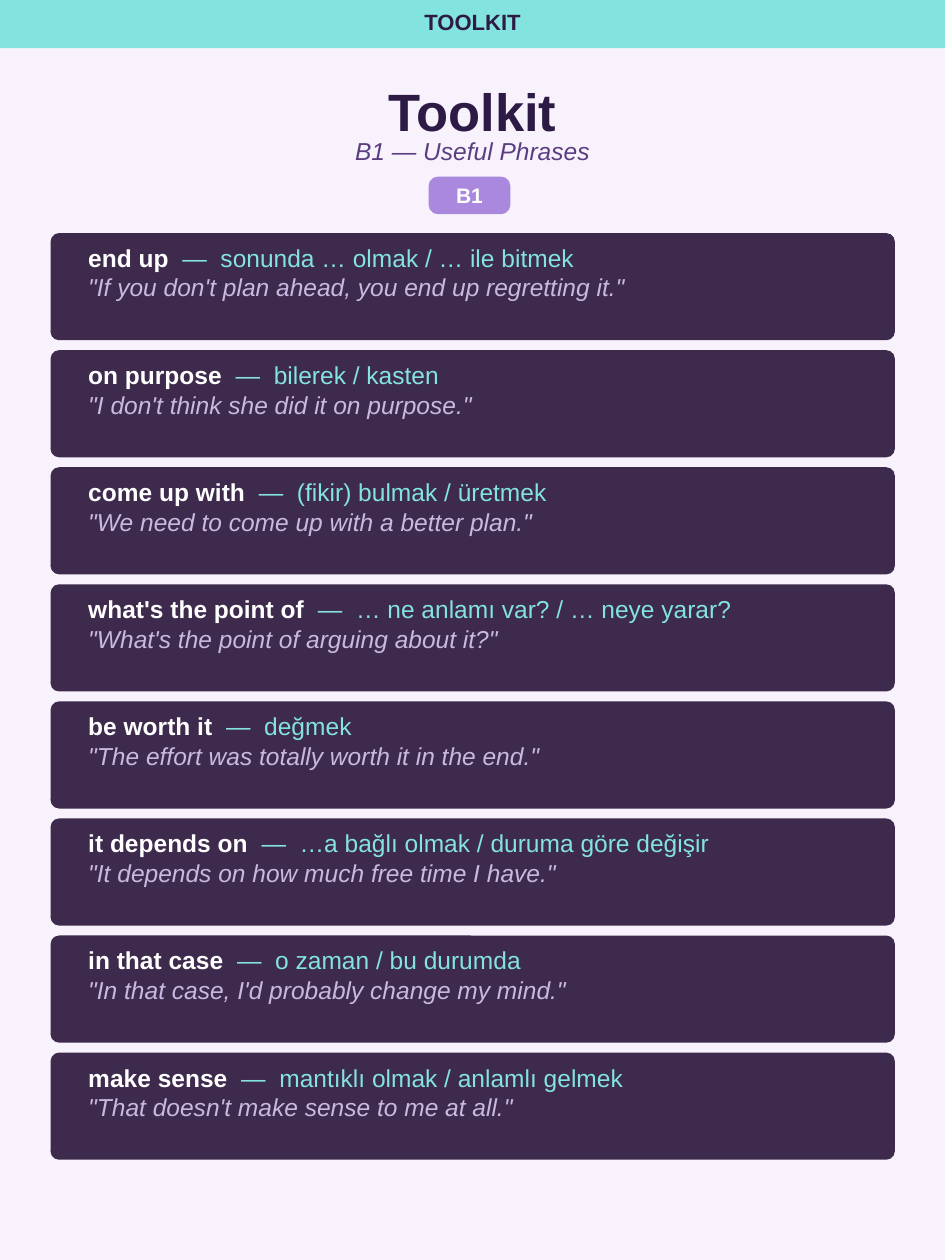
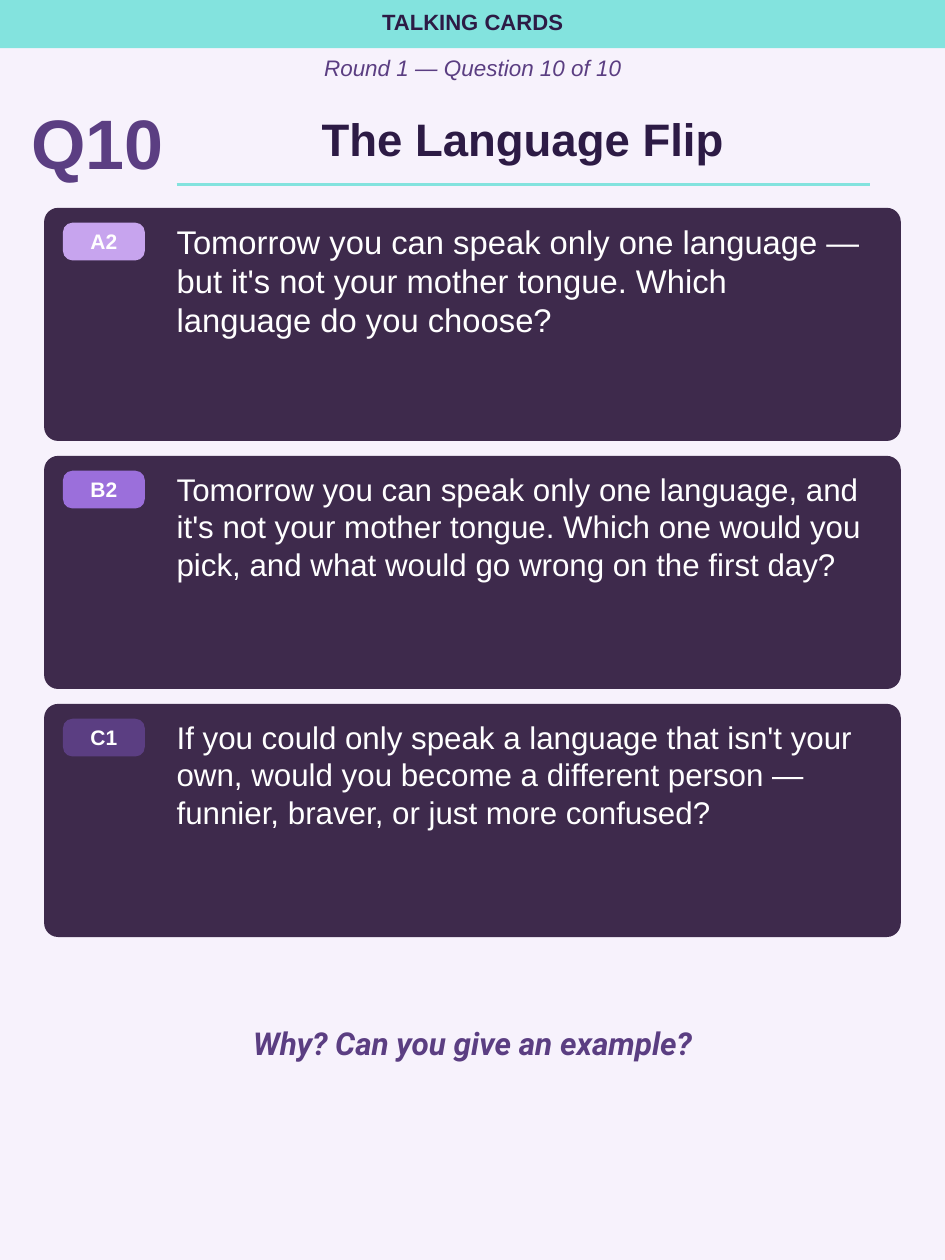
from lxml.etree import SubElement
from pptx import Presentation
from pptx.dml.color import RGBColor
from pptx.enum.shapes import MSO_CONNECTOR as Conn, MSO_SHAPE as Shape
from pptx.enum.text import MSO_ANCHOR as Anchor, MSO_AUTO_SIZE as Fit, PP_ALIGN as Align
from pptx.oxml.ns import qn
from pptx.util import Cm, Pt

PAPER, AQUA, WHITE = "F7F2FC", "83E3DE", "FFFFFF"
INK, PLUM, DARK, MIST = "2D1B45", "5B3E82", "3E2A4C", "C9B8E0"
LILAC = "AA88DD"

PHRASES = [
    ("end up", "sonunda … olmak / … ile bitmek",
     "If you don't plan ahead, you end up regretting it."),
    ("on purpose", "bilerek / kasten", "I don't think she did it on purpose."),
    ("come up with", "(fikir) bulmak / üretmek", "We need to come up with a better plan."),
    ("what's the point of", "… ne anlamı var? / … neye yarar?",
     "What's the point of arguing about it?"),
    ("be worth it", "değmek", "The effort was totally worth it in the end."),
    ("it depends on", "…a bağlı olmak / duruma göre değişir",
     "It depends on how much free time I have."),
    ("in that case", "o zaman / bu durumda", "In that case, I'd probably change my mind."),
    ("make sense", "mantıklı olmak / anlamlı gelmek", "That doesn't make sense to me at all."),
]

CARDS = [
    ("A2", "C7A4EE", 18.7,
     "Tomorrow you can speak only one language — but it's not your mother tongue. "
     "Which language do you choose?"),
    ("B2", "9B6FDB", 17.9,
     "Tomorrow you can speak only one language, and it's not your mother tongue. "
     "Which one would you pick, and what would go wrong on the first day?"),
    ("C1", PLUM, 17.9,
     "If you could only speak a language that isn't your own, would you become a "
     "different person — funnier, braver, or just more confused?"),
]


def paint(fill, color):
    """Make a fill solid in a hex colour."""
    fill.solid()
    fill.fore_color.rgb = RGBColor.from_string(color)


def write(frame, text, size=14, color=WHITE, bold=False, italic=False,
          align=Align.LEFT, face="Arial", fresh=False):
    """Add a run to the last paragraph, or to a fresh one."""
    para = frame.add_paragraph() if fresh else frame.paragraphs[-1]
    para.alignment = align
    para.line_spacing = Pt(round(size * 1.2, 1))
    run = para.add_run()
    run.text = text
    font = run.font
    font.name, font.size, font.bold, font.italic = face, Pt(size), bold, italic
    paint(font.fill, color)


def setup(frame, pads=(0, 0, 0, 0), anchor=Anchor.TOP):
    """Set wrapping, anchor and the left, top, right and bottom pads."""
    frame.word_wrap = True
    frame.auto_size = Fit.NONE
    frame.vertical_anchor = anchor
    (frame.margin_left, frame.margin_top,
     frame.margin_right, frame.margin_bottom) = map(Cm, pads)
    return frame


def label(slide, spot, text, **look):
    """Add a centred line of text."""
    box = slide.shapes.add_textbox(*map(Cm, spot))
    write(setup(box.text_frame), text, align=Align.CENTER, **look)


def panel(slide, spot, color, curve=0, **inner):
    """Add a filled block and return its text frame."""
    kind = Shape.ROUNDED_RECTANGLE if curve else Shape.RECTANGLE
    block = slide.shapes.add_shape(kind, *map(Cm, spot))
    if curve:
        block.adjustments[0] = curve
    block.shadow.inherit = False
    block.line.fill.background()
    paint(block.fill, color)
    return setup(block.text_frame, **inner)


def badge(slide, left, top, level, color):
    """Add a level badge."""
    frame = panel(slide, (left, top, 1.65, 0.76), color, 0.25, anchor=Anchor.MIDDLE)
    write(frame, level, 12, bold=True, align=Align.CENTER)


def rule(slide, left, top, width):
    """Add a level line."""
    line = slide.shapes.add_connector(
        Conn.STRAIGHT, Cm(left), Cm(top), Cm(left + width), Cm(top))
    paint(line.line.fill, AQUA)
    line.line.width = Pt(2.25)
    SubElement(line._element.spPr, qn("a:effectLst"))


def start(deck, band, title, spot, size):
    """Add a slide with its band and title."""
    slide = deck.slides.add_slide(deck.slide_layouts[5])
    frame = panel(slide, (0, 0, 19.05, 0.97), AQUA, pads=(0.25, 0.18, 0.25, 0))
    write(frame, band, 12.6, INK, bold=True, align=Align.CENTER)
    head = slide.shapes.title
    head.left, head.top, head.width, head.height = map(Cm, spot)
    write(setup(head.text_frame), title, size, INK, bold=True, align=Align.CENTER)
    return slide


def phrase(slide, top, term, sense, quote):
    """Add a phrase row with its meaning and example."""
    frame = panel(slide, (1.02, top, 17.02, 2.16), DARK, 0.08,
                  pads=(0.71, 0.15, 0.71, 0))
    write(frame, term, bold=True)
    write(frame, f"  —  {sense}", color=AQUA)
    write(frame, f'"{quote}"', color=MIST, italic=True, fresh=True)


def card(slide, top, level, color, size, text):
    """Add a question card with its level badge."""
    frame = panel(slide, (0.89, top, 17.27, 4.7), DARK, 0.06,
                  pads=(2.59, 0.2, 0.55, 0))
    write(frame, text, size)
    badge(slide, 1.27, top + 0.3, level, color)


def toolkit(deck):
    """Build the slide of useful phrases."""
    slide = start(deck, "TOOLKIT", "Toolkit", (1.27, 1.6, 16.51, 1.07), 30)
    label(slide, (1.27, 2.74, 16.51, 0.7), "B1 — Useful Phrases", color=PLUM, italic=True)
    badge(slide, 8.64, 3.56, "B1", LILAC)
    for i, row in enumerate(PHRASES):
        phrase(slide, 4.7 + 2.36 * i, *row)


def talk(deck):
    """Build the slide of question cards."""
    slide = start(deck, "TALKING CARDS", "The Language Flip", (3.81, 2.24, 13.46, 1.07), 26)
    label(slide, (1.02, 1.09, 17.02, 0.58), "Round 1 — Question 10 of 10",
          size=12.8, color=PLUM, italic=True)
    label(slide, (0.38, 2.01, 3.18, 1.55), "Q10", size=40, color=PLUM, bold=True)
    rule(slide, 3.56, 3.72, 13.97)
    for i, row in enumerate(CARDS):
        card(slide, 4.19 + 5 * i, *row)
    label(slide, (1.02, 20.65, 17.02, 0.97), "Why? Can you give an example?",
          size=18, color=PLUM, bold=True, italic=True, face="Roboto")


def main():
    """Build and save the deck."""
    deck = Presentation()
    deck.slide_width, deck.slide_height = Cm(19.05), Cm(25.4)
    paint(deck.slide_master.background.fill, PAPER)
    toolkit(deck)
    talk(deck)
    deck.save("out.pptx")


if __name__ == "__main__":
    main()
